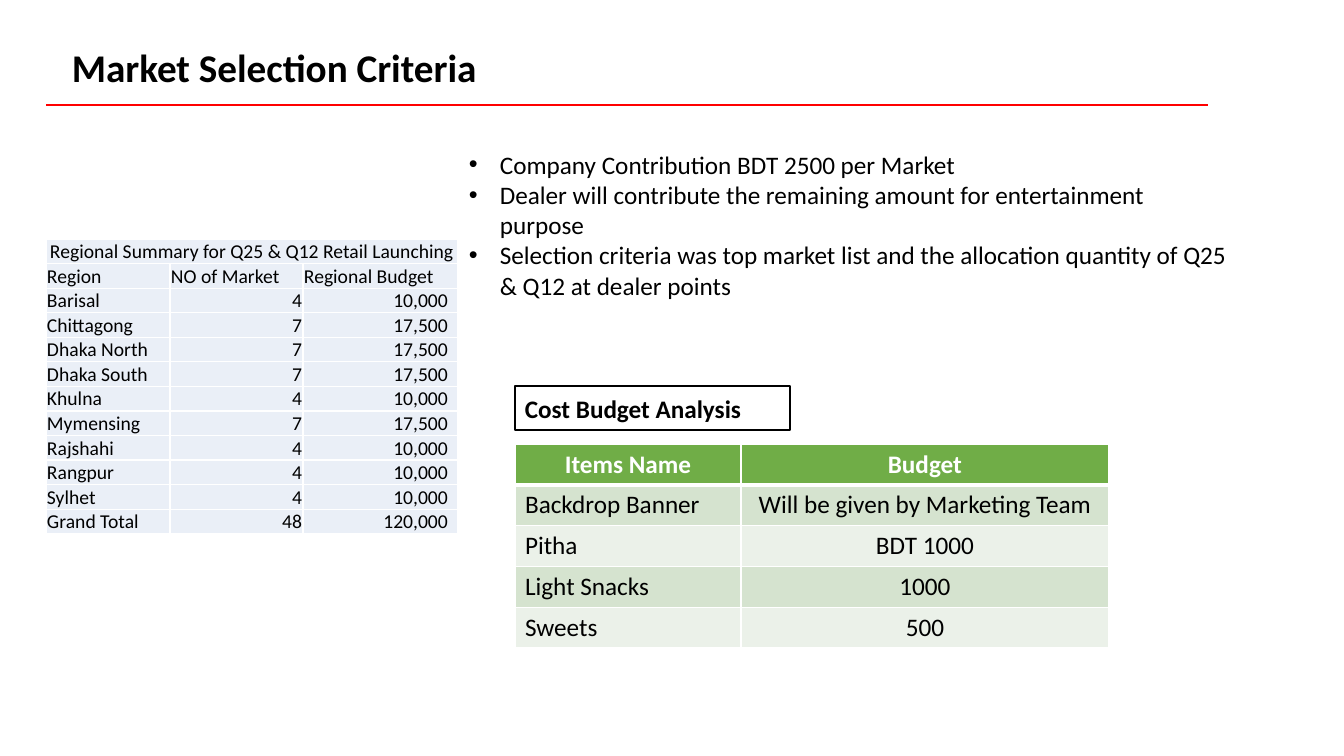
"""Build the Market Selection Criteria slide."""
from lxml import etree
from pptx import Presentation
from pptx.dml.color import RGBColor
from pptx.enum.shapes import MSO_CONNECTOR, MSO_SHAPE
from pptx.enum.text import MSO_ANCHOR, PP_ALIGN
from pptx.oxml.ns import qn
from pptx.util import Emu, Pt

LEFT, CENTER, RIGHT = PP_ALIGN.LEFT, PP_ALIGN.CENTER, PP_ALIGN.RIGHT
TOP, MIDDLE, BOTTOM = MSO_ANCHOR.TOP, MSO_ANCHOR.MIDDLE, MSO_ANCHOR.BOTTOM
RECTANGLE, STRAIGHT = MSO_SHAPE.RECTANGLE, MSO_CONNECTOR.STRAIGHT

FONT = "Calibri"
BLACK, WHITE, RED = "000000", "FFFFFF", "FF0000"
GREEN, BANDS, PALE_BLUE = "70AD47", ("D5E3CF", "EBF1E9"), "EAEFF7"

TITLE = "Market Selection Criteria"
CRITERIA = [
    "Company Contribution BDT 2500 per Market",
    "Dealer will contribute the remaining amount for entertainment purpose",
    "Selection criteria was top market list and the allocation quantity of Q25 & Q12 at dealer points",
]
COST_TITLE = "Cost Budget Analysis"
COSTS = [
    ("Items Name", "Budget"),
    ("Backdrop Banner", "Will be given by Marketing Team"),
    ("Pitha", "BDT 1000"),
    ("Light Snacks", "1000"),
    ("Sweets", "500"),
]
REGIONS = [
    ("Regional Summary for Q25 & Q12 Retail Launching", "", ""),
    ("Region", "NO of Market", "Regional Budget"),
    ("Barisal", "4", "10,000"),
    ("Chittagong", "7", "17,500"),
    ("Dhaka North", "7", "17,500"),
    ("Dhaka South", "7", "17,500"),
    ("Khulna", "4", "10,000"),
    ("Mymensing", "7", "17,500"),
    ("Rajshahi", "4", "10,000"),
    ("Rangpur", "4", "10,000"),
    ("Sylhet", "4", "10,000"),
    ("Grand Total", "48", "120,000"),
]


def px(length):
    return Emu(round(length * 914400 / 100.8))


def rgb(color):
    return RGBColor.from_string(color)


def write(frame, lines, size, color=BLACK, bold=False, align=LEFT, anchor=TOP):
    frame.word_wrap = True
    frame.vertical_anchor = anchor
    for index, line in enumerate(lines):
        paragraph = frame.paragraphs[0] if index == 0 else frame.add_paragraph()
        paragraph.text = line
        paragraph.alignment = align
        font = paragraph.font
        font.name, font.size, font.bold = FONT, Pt(size), bold
        font.color.rgb = rgb(color)


def add_text(box, lines, size, bold=False):
    frame = slide.shapes.add_textbox(*map(px, box)).text_frame
    write(frame, lines, size, bold=bold)
    return frame


def add_bullet(paragraph, indent):
    properties = paragraph._p.get_or_add_pPr()
    properties.set("marL", str(px(indent)))
    properties.set("indent", str(-px(indent)))
    etree.SubElement(properties, qn("a:buFont")).set("typeface", "Arial")
    etree.SubElement(properties, qn("a:buChar")).set("char", "•")


def add_borders(cell, widths):
    for index, (side, width) in enumerate(zip("LRTB", widths)):
        border = etree.Element(qn(f"a:ln{side}"), w=str(Pt(width)))
        fill = etree.SubElement(border, qn("a:solidFill"))
        etree.SubElement(fill, qn("a:srgbClr")).set("val", WHITE)
        cell._tc.get_or_add_tcPr().insert(index, border)


def add_table(left, top, height, columns, rows, style):
    table = slide.shapes.add_table(
        len(rows), len(columns), px(left), px(top), px(sum(columns)), px(height)).table
    for column, width in zip(table.columns, columns):
        column.width = px(width)
    for r, row in enumerate(rows):
        table.rows[r].height = px(height / len(rows))
        for c, text in enumerate(row):
            style(table.cell(r, c), r, c, text)
    return table


def style_cost(cell, r, c, text):
    header = r == 0
    cell.fill.solid()
    cell.fill.fore_color.rgb = rgb(GREEN if header else BANDS[(r - 1) % 2])
    add_borders(cell, (1, 1, 3 if r == 1 else 1, 3 if header else 1))
    write(cell.text_frame, [text], 18, WHITE if header else BLACK, header,
          CENTER if header or c else LEFT)
    cell.vertical_anchor = MIDDLE


def style_region(cell, r, c, text):
    cell.fill.solid()
    cell.fill.fore_color.rgb = rgb(PALE_BLUE)
    add_borders(cell, (1, 1, 1, 1))
    align = CENTER if r == 0 else RIGHT if r > 1 and c else LEFT
    write(cell.text_frame, [text], 14, align=align)
    cell.vertical_anchor = BOTTOM
    cell.margin_left = cell.margin_top = px(1)
    cell.margin_right = px(10 if r > 1 and c == 2 else 1)
    cell.margin_bottom = 0


deck = Presentation()
deck.slide_width, deck.slide_height = px(1344), px(756)
slide = deck.slides.add_slide(deck.slide_layouts[6])

rule = slide.shapes.add_connector(STRAIGHT, px(1208), px(105), px(46), px(105))
rule.line.color.rgb = rgb(RED)
rule.line.width = Pt(1.5)
etree.SubElement(rule._element.spPr, qn("a:effectLst"))

add_text((62, 38, 552, 58), [TITLE], 28, bold=True)
for criterion in add_text((459, 144, 783, 194), CRITERIA, 18).paragraphs:
    add_bullet(criterion, 31)

add_table(515, 444, 204, (226, 368), COSTS, style_cost)

cost_label = slide.shapes.add_shape(RECTANGLE, px(515), px(386), px(275), px(44))
cost_label.shadow.inherit = False
cost_label.fill.background()
cost_label.line.color.rgb = rgb(BLACK)
cost_label.line.width = Pt(1)
write(cost_label.text_frame, [COST_TITLE], 18, bold=True, anchor=MIDDLE)

summary = add_table(46, 239, 295, (124, 133, 155), REGIONS, style_region)
summary.cell(0, 0).merge(summary.cell(0, 2))

deck.save("out.pptx")
